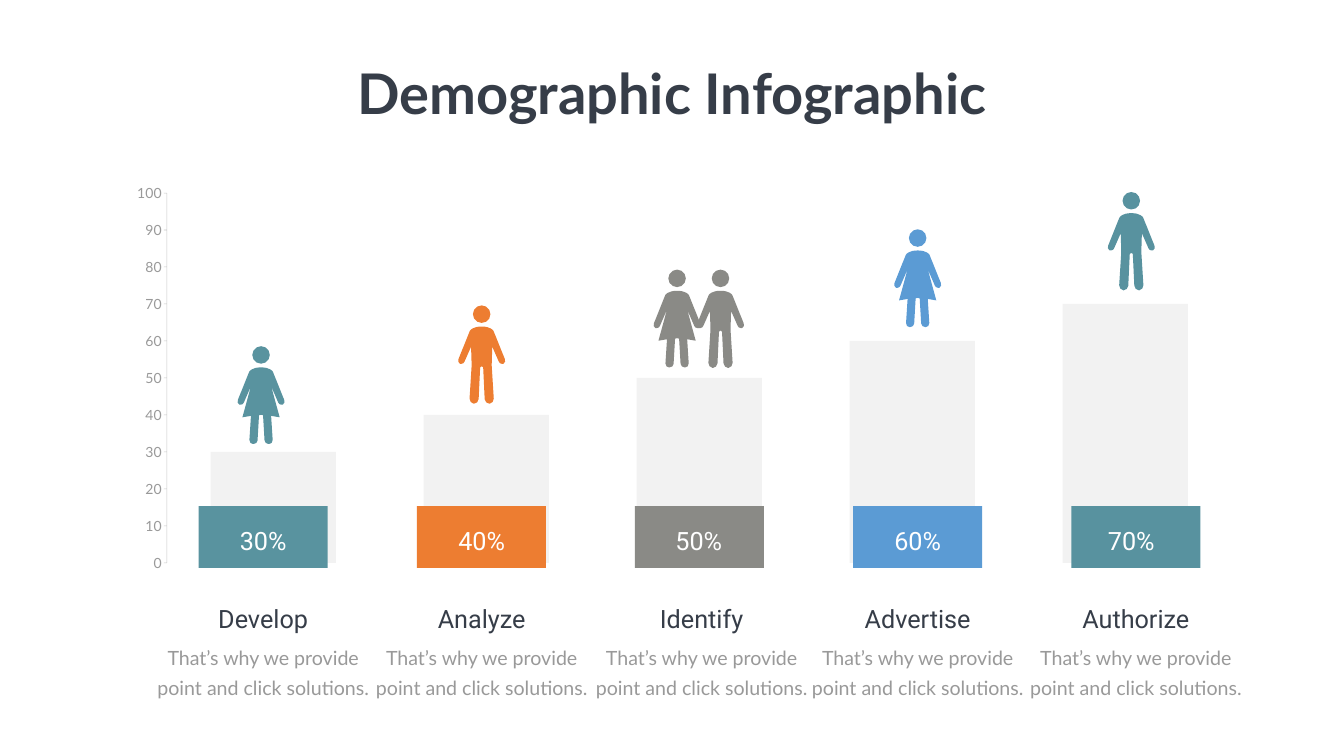
from dataclasses import dataclass

from lxml import etree
from pptx import Presentation
from pptx.chart.data import CategoryChartData
from pptx.dml.color import RGBColor
from pptx.enum.chart import XL_CHART_TYPE, XL_TICK_MARK
from pptx.enum.shapes import MSO_SHAPE
from pptx.enum.text import MSO_ANCHOR, PP_ALIGN
from pptx.oxml.ns import qn
from pptx.util import Pt

COLUMN = XL_CHART_TYPE.COLUMN_CLUSTERED
TICK_OUT = XL_TICK_MARK.OUTSIDE
RECT, OVAL = MSO_SHAPE.RECTANGLE, MSO_SHAPE.OVAL
MIDDLE, TOP = MSO_ANCHOR.MIDDLE, MSO_ANCHOR.TOP
CENTER = PP_ALIGN.CENTER


@dataclass(frozen=True)
class Theme:
    heading_font: str = "Roboto"
    body_font: str = "Lato"
    dark: str = "363D48"
    grey: str = "999999"
    white: str = "FFFFFF"
    axis: str = "B2B2B2"
    bar: str = "808080"
    teal: str = "59939F"
    orange: str = "ED7D31"
    stone: str = "8A8A86"
    blue: str = "5B9BD4"
    deep_teal: str = "58929F"
    title_size: int = 80
    label_size: int = 36
    body_size: int = 28
    axis_size: int = 20


THEME = Theme()

# Half outlines in points, measured from the centre line and the top of the head.
# Two numbers are a corner; six are a Bézier curve from the point before.
SHOULDER = [(0, 30.2), (13, 30.2, 16.6, 36, 16.6, 36), (17.3, 37.4)]
ARM = [(33.1, 76.7), (34.6, 79.2, 33.1, 82.1, 31, 83.5), (28.8, 83.5),
       (26.6, 83.5, 25.2, 82.1, 24.5, 80.3)]
MAN = SHOULDER + ARM + [
    (15.1, 59), (14.4, 82.8), (14.4, 87.1), (17.3, 133.2),
    (17.3, 136.8, 15.1, 139.7, 11.5, 140.4), (10.8, 140.4),
    (7.2, 140.4, 5, 137.5, 4.3, 133.9), (2.2, 89.3), (2.2, 89.3, 2.2, 87.1, 0, 87.1)]
WOMAN = SHOULDER + ARM + [
    (14.4, 57), (26.6, 101.5), (26.6, 101.5, 21.6, 100.8, 14.4, 99.4), (16.6, 133.9),
    (16.6, 137.5, 14.4, 139.7, 11.5, 139.7), (10.8, 139.7),
    (7.9, 139.7, 5, 137.5, 5, 134.6), (2.9, 98.6), (1.4, 98.6, 1.4, 97.9, 0, 97.9)]
HEAD = 25

FIRST_CENTER, PITCH = 375.84, 311.6
TILE_W, TILE_H, TILE_TOP = 184.32, 88.56, 722.88
DESCRIPTION = "That’s why we provide point and click solutions."

# label, value, colour, shift of the value, shift of the caption,
# top of the figures, figures as (outline, shift); shifts are from the tile's centre
GROUPS = [
    ("Develop", 30, THEME.teal, 0, 0, 494.6, [(WOMAN, -3)]),
    ("Analyze", 40, THEME.orange, 0.5, 0.5, 436.3, [(MAN, 0.5)]),
    ("Identify", 50, THEME.stone, -1, 3, 385.2, [(MAN, 30), (WOMAN, -32)]),
    ("Advertise", 60, THEME.blue, 0, 0, 327.6, [(WOMAN, 0)]),
    ("Authorize", 70, THEME.deep_teal, -6.5, 0, 274.3, [(MAN, -6.5)]),
]


def mirror(half):
    """Return the half outline walked backwards on the other side of the centre line."""
    back = []
    for before, part in reversed(list(zip(half, half[1:]))):
        x, y = before[-2:]
        controls = (-part[2], part[3], -part[0], part[1]) if len(part) == 6 else ()
        back.append((*controls, -x, y))
    return back


def set_alpha(colors, percent):
    for color in colors:
        etree.SubElement(color, qn("a:alpha"), val=str(percent * 1000))


class SlideBuilder:
    def __init__(self, slide, theme):
        self.s = slide
        self.theme = theme

    def style(self, tf, text, font, size, color, bold=False, spacing=None):
        tf.text = text
        p = tf.paragraphs[0]
        p.alignment = CENTER
        if spacing:
            p.line_spacing = Pt(spacing)
        r = p.runs[0]
        r.font.name, r.font.size, r.font.bold = font, Pt(size), bold
        r.font.color.rgb = RGBColor.from_string(color)

    def title(self, text, x, y, w, h):
        sp = self.s.shapes.title
        sp.left, sp.top, sp.width, sp.height = Pt(x), Pt(y), Pt(w), Pt(h)
        tf = sp.text_frame
        self.style(tf, text, self.theme.body_font, self.theme.title_size,
                   self.theme.dark, bold=True)
        tf.word_wrap = False
        tf.vertical_anchor = MIDDLE

    def text(self, text, center, y, w, h, font, size, color, spacing=None):
        tf = self.s.shapes.add_textbox(Pt(center - w / 2), Pt(y), Pt(w), Pt(h)).text_frame
        tf.word_wrap = True
        tf.vertical_anchor = TOP
        tf.margin_left = tf.margin_right = 0
        self.style(tf, text, font, size, color, spacing=spacing)

    def paint(self, sp, color):
        sp.shadow.inherit = False
        sp.fill.solid()
        sp.fill.fore_color.rgb = RGBColor.from_string(color)
        sp.line.fill.background()

    def shape(self, kind, x, y, w, h, color):
        sp = self.s.shapes.add_shape(kind, Pt(x), Pt(y), Pt(w), Pt(h))
        self.paint(sp, color)

    def person(self, half, center, top, color):
        parts = [[(Pt(center + x), Pt(top + y)) for x, y in zip(part[::2], part[1::2])]
                 for part in half + mirror(half)]
        builder = self.s.shapes.build_freeform(*parts[0][-1])
        builder.add_line_segments([part[-1] for part in parts[1:]], close=True)
        sp = builder.convert_to_shape()
        self.paint(sp, color)
        for segment, part in zip(sp.element.xpath(".//a:lnTo"), parts[1:]):
            if len(part) == 3:
                segment.tag = qn("a:cubicBezTo")
                for i, (x, y) in enumerate(part[:2]):
                    point = etree.Element(qn("a:pt"), x=str(x - sp.left), y=str(y - sp.top))
                    segment.insert(i, point)
        self.shape(OVAL, center - HEAD / 2, top, HEAD, HEAD, color)

    def column_chart(self, categories, values, x, y, w, h, plot):
        """Draw the bars; plot holds the inner plot area as fractions of the chart."""
        data = CategoryChartData()
        data.categories = categories
        data.add_series("Series 1", values)
        chart = self.s.shapes.add_chart(COLUMN, Pt(x), Pt(y), Pt(w), Pt(h), data).chart
        chart.has_title = chart.has_legend = False
        chart.font.name, chart.font.size = self.theme.body_font, Pt(self.theme.axis_size)
        chart.font.color.rgb = RGBColor.from_string(self.theme.grey)

        bars = chart.plots[0]
        bars.gap_width, bars.vary_by_categories = 70, False
        fill = bars.series[0].format.fill
        fill.solid()
        fill.fore_color.rgb = RGBColor.from_string(self.theme.bar)

        chart.category_axis.visible = False
        axis = chart.value_axis
        axis.minimum_scale, axis.maximum_scale, axis.major_unit = 0, 100, 10
        axis.has_major_gridlines = False
        axis.major_tick_mark = TICK_OUT
        axis.format.line.width = Pt(0.75)
        axis.format.line.color.rgb = RGBColor.from_string(self.theme.axis)
        set_alpha(chart.element.xpath(".//c:ser/c:spPr//a:srgbClr"), 10)
        set_alpha(chart.element.xpath(".//c:valAx/c:spPr//a:srgbClr"), 70)

        area = chart.element.xpath(".//c:plotArea")[0]
        for old in area.findall(qn("c:layout")):
            area.remove(old)
        layout = etree.Element(qn("c:layout"))
        area.insert(0, layout)
        manual = etree.SubElement(layout, qn("c:manualLayout"))
        settings = [("layoutTarget", "inner"), ("xMode", "edge"), ("yMode", "edge"),
                    *zip("xywh", plot)]
        for name, value in settings:
            etree.SubElement(manual, qn(f"c:{name}"), val=str(value))


def main():
    prs = Presentation()
    prs.slide_width, prs.slide_height = Pt(1919.52), Pt(1080)
    b = SlideBuilder(prs.slides.add_slide(prs.slide_layouts[5]), THEME)

    b.title("Demographic Infographic", 494.2, 79.2, 930.96, 104.4)
    values = [value for _, value, *_ in GROUPS]
    b.column_chart(["1", "2", "3", "4", "5", ""], values + [None],
                   156.24, 252, 1946.16, 575.28, plot=(0.0421, 0.0413, 0.938, 0.9187))

    for i, (label, value, color, value_dx, caption_dx, top, people) in enumerate(GROUPS):
        center = FIRST_CENTER + i * PITCH
        b.shape(RECT, center - TILE_W / 2, TILE_TOP, TILE_W, TILE_H, color)
        b.text(f"{value}%", center + value_dx, 746.6, 135.36, 43.92,
               THEME.heading_font, THEME.label_size, THEME.white)
        for half, shift in people:
            b.person(half, center + shift, top, color)
        b.text(label, center + caption_dx, 858.96, 363.6, 51.12,
               THEME.heading_font, THEME.label_size, THEME.dark)
        b.text(DESCRIPTION, center + caption_dx, 910.08, 318.96, 89.28,
               THEME.body_font, THEME.body_size, THEME.grey, spacing=43)

    prs.save("out.pptx")


if __name__ == "__main__":
    main()
